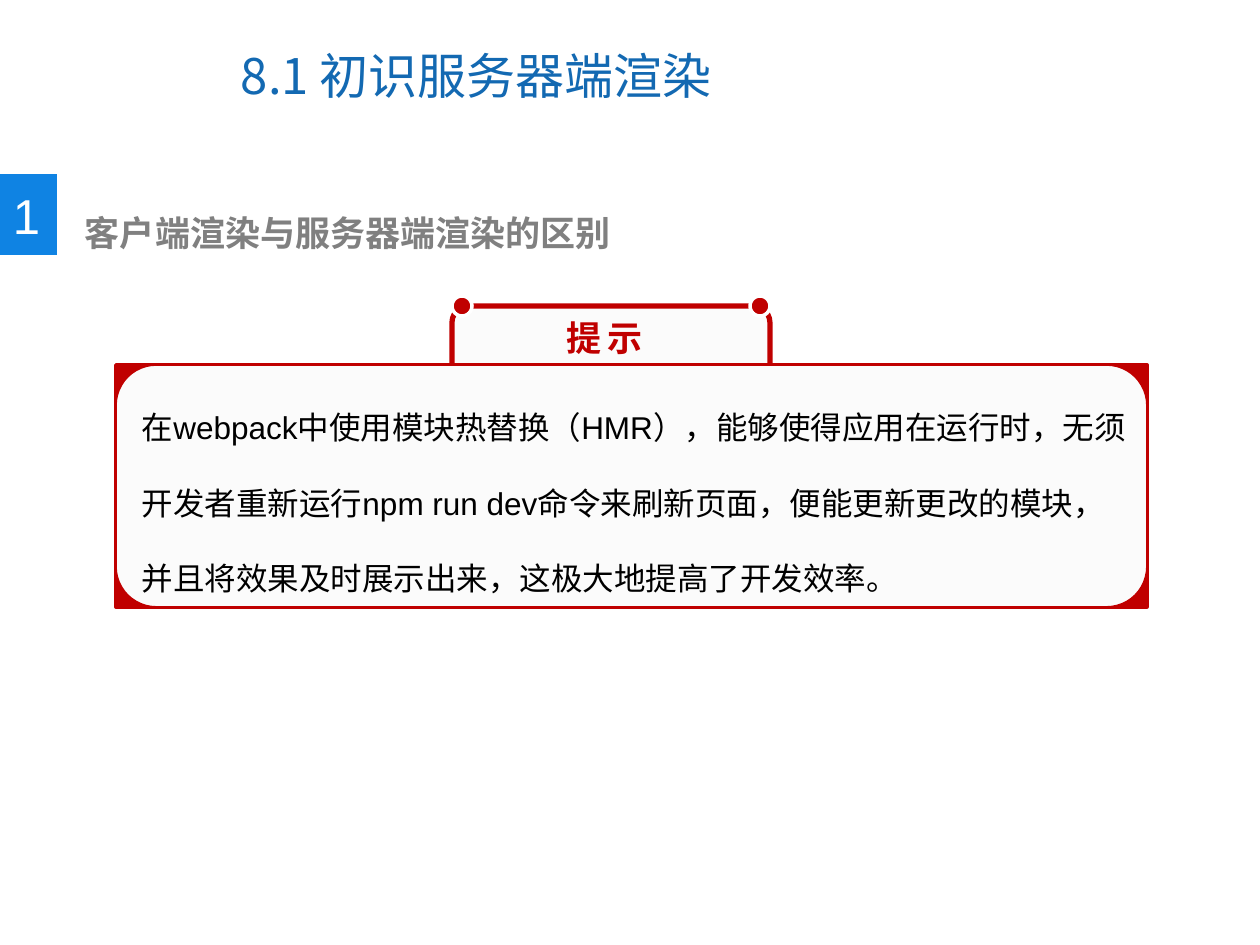
from dataclasses import dataclass

from lxml.etree import SubElement
from pptx import Presentation
from pptx.dml.color import RGBColor as Rgb
from pptx.enum.shapes import MSO_SHAPE as Preset
from pptx.enum.text import MSO_ANCHOR as Anchor
from pptx.oxml.ns import qn
from pptx.util import Inches, Pt

PX = Inches(1) / 126


@dataclass(frozen=True)
class Theme:
    """Colours, fonts and type sizes of the slide."""
    blue: str = "1369B2"
    badge: str = "0F83E3"
    red: str = "C00000"
    grey: str = "808080"
    paper: str = "FBFBFB"
    white: str = "FFFFFF"
    black: str = "000000"
    latin: str = "Arial"
    chinese: str = "Noto Sans CJK SC"
    title: int = 28
    heading: int = 20
    body: int = 18


THEME = Theme()


def emu(*lengths):
    """Turn px lengths into EMU."""
    return [round(length * PX) for length in lengths]


def add_text(slide, box, text, size, colour, font=THEME.latin, bold=False,
             inset=13, anchor=Anchor.TOP, line_spacing=None, tracking=None):
    """Place one paragraph of text in a box."""
    frame = slide.shapes.add_textbox(*emu(*box)).text_frame
    frame.word_wrap = True
    frame.vertical_anchor = anchor
    frame.margin_left, = emu(inset)
    paragraph = frame.paragraphs[0]
    paragraph.line_spacing = line_spacing
    paragraph.font.size = Pt(size)
    paragraph.font.bold = bold
    paragraph.font.name = font
    paragraph.font.color.rgb = Rgb.from_string(colour)
    run = paragraph.add_run()
    run.text = text
    run.font.size = Pt(size)
    run.font.bold = bold
    run.font.name = font
    run.font.color.rgb = Rgb.from_string(colour)
    properties = run._r.get_or_add_rPr()
    SubElement(properties, qn("a:ea")).set("typeface", THEME.chinese)
    if tracking:
        properties.set("spc", str(tracking * 100))


def add_panel(slide, preset, box, fill, line=None, weight=0):
    """Place a filled preset shape with an optional outline."""
    shape = slide.shapes.add_shape(preset, *emu(*box))
    shape.shadow.inherit = False
    shape.fill.solid()
    shape.fill.fore_color.rgb = Rgb.from_string(fill)
    if line:
        shape.line.color.rgb = Rgb.from_string(line)
        shape.line.width = Pt(weight)
    else:
        shape.line.fill.background()


def add_title(slide, box, text):
    """Place the slide title."""
    add_text(slide, box, text, THEME.title, THEME.blue, THEME.chinese,
             anchor=Anchor.MIDDLE)


def add_section(slide, box, number, heading):
    """Place the numbered badge and the section heading beside it."""
    left, top, width, height = box
    badge_width = 57
    add_panel(slide, Preset.RECTANGLE, (left, top, badge_width, height),
              THEME.badge)
    add_text(slide, (left, top + 5, badge_width, 72), number,
             THEME.title, THEME.white)
    add_text(slide, (left + badge_width, top + 31, width - badge_width, 55),
             heading, THEME.heading, THEME.grey, bold=True, inset=28)


def add_tip(slide, box, label, text):
    """Place the tip card with its tab, corner dots and text."""
    left, top, width, height = box
    tab_left, tab_top, tab_width = left + 336, top - 59, 318
    dot = 20
    add_panel(slide, Preset.ROUNDED_RECTANGLE,
              (tab_left, tab_top, tab_width, 99), THEME.paper, THEME.red, 3)
    add_panel(slide, Preset.FLOWCHART_PROCESS, box, THEME.red, THEME.red, 2)
    add_panel(slide, Preset.FLOWCHART_ALTERNATE_PROCESS, box,
              THEME.paper, THEME.red, 1)
    for dot_left in (tab_left, tab_left + tab_width - dot):
        add_panel(slide, Preset.OVAL, (dot_left, tab_top - dot // 2, dot, dot),
                  THEME.red, THEME.white, 2)
    add_text(slide, (tab_left + 65, tab_top + 4, 189, 55), label,
             THEME.heading, THEME.red, THEME.chinese, True, inset=50,
             tracking=3)
    add_text(slide, (left + 13, top - 1, width - 18, height), text,
             THEME.body, THEME.black, line_spacing=2.0)


def main():
    """Build and save the slide."""
    presentation = Presentation()
    presentation.slide_width, presentation.slide_height = emu(1260, 945)
    slide = presentation.slides.add_slide(presentation.slide_layouts[6])
    add_title(slide, (228, 21, 650, 107), "8.1 初识服务器端渲染")
    add_section(slide, (0, 174, 707, 81), "1",
                "客户端渲染与服务器端渲染的区别")
    add_tip(slide, (116, 365, 1031, 242), "提示",
            "在webpack中使用模块热替换（HMR），能够使得应用在运行时，"
            "无须开发者重新运行npm run dev命令来刷新页面，"
            "便能更新更改的模块，并且将效果及时展示出来，"
            "这极大地提高了开发效率。")
    presentation.save("out.pptx")


if __name__ == "__main__":
    main()
